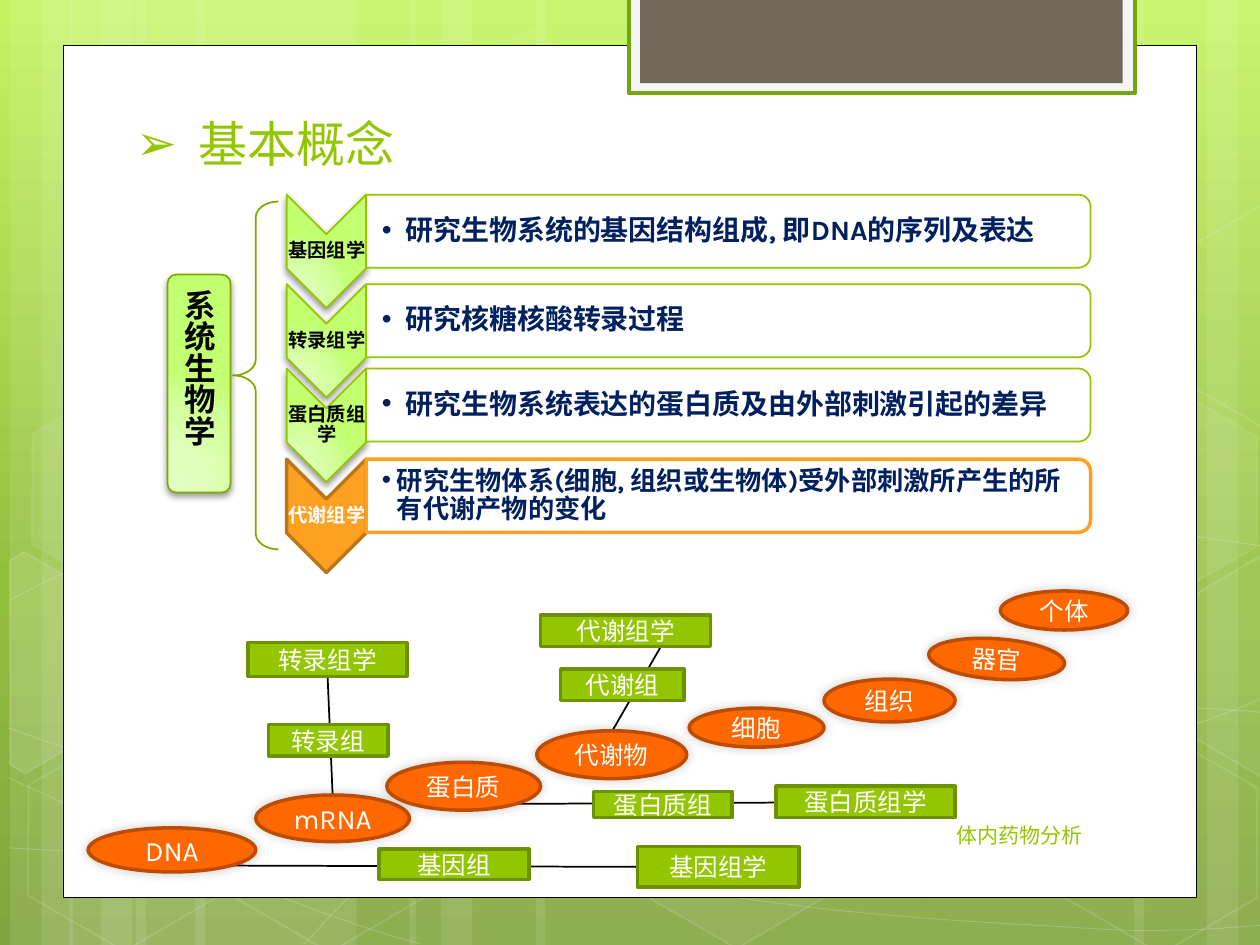
from lxml import etree
from pptx import Presentation, util as u
from pptx.dml.color import RGBColor
from pptx.enum import shapes, text
from pptx.oxml import ns

KIND, ALIGN, MID = shapes.MSO_SHAPE, text.PP_ALIGN, text.MSO_ANCHOR.MIDDLE


class Theme:
    """Colours, type sizes and effects of the slide."""
    font = "Karla"
    white, black, navy = "FFFFFF", "000000", "002060"
    green, deep, mid = "94C600", "6D9200", "7FAA00"
    amber, rust, orange, brown = "FEA022", "BC7619", "FF6700", "BD4C00"
    paper, rim, slate = "F5F5F5", "74A510", "71685A"
    sky = [(0, "C3F35F"), (62, "93BF3F"), (100, "81A53E")]
    lime = [(0, "E2FFC2"), (30, "E0FFBC"), (75, "D0FF97"), (100, "C2FF71")]
    drop, glow = (40, 4, 2, 90), (20, 6, 0, 315)
    title, side, body, node, note, tag = 28, 18, 16, 14, 12, 11


BARS = [(1.08, 1.75), (0.08, 0.5), (0.33, 0.83), (1.55, 1.75), (0.55, 0.5), (0.8, 0.83),
        (7.33, 1.75), (9.58, 0.5), (9, 0.83), (4.25, 3.08), (3.25, 0.5), (3.5, 0.83)]
CURVES = [
    [(0.07, 6.73), (0.61, 6.76), (1.15, 6.79), (1.9, 6.78), (2.65, 6.77), (3.58, 6.75),
     (4.58, 6.65), (5.58, 6.55), (7, 6.36), (7.92, 6.17), (8.83, 5.98), (9.77, 5.68), (10.07, 5.51)],
    [(0.07, 4.77), (0.36, 4.61), (0.65, 4.46), (1.21, 4.31), (1.78, 4.16), (2.59, 3.94),
     (3.47, 3.87), (4.36, 3.8), (5.44, 3.79), (6.54, 3.87), (7.64, 3.95), (9.47, 4.26), (10.07, 4.34)],
    [(0.06, 6.17), (1.27, 6.72), (2.47, 7.27), (3.34, 7.49)],
    [(0.07, 5.78), (0.38, 5.89), (0.7, 6), (1.28, 6.16), (1.86, 6.31), (2.73, 6.56),
     (3.57, 6.73), (4.4, 6.9), (5.45, 7.08), (6.28, 7.18), (7.11, 7.29), (8, 7.33),
     (8.53, 7.36), (9.05, 7.4), (9.19, 7.38), (9.45, 7.38), (9.71, 7.37), (9.89, 7.35), (10.07, 7.34)],
    [(2.42, 7.49), (2.6, 7.29), (2.78, 7.09), (3.02, 6.91), (3.26, 6.73), (3.6, 6.53),
     (3.88, 6.39), (4.16, 6.25), (4.33, 6.19), (4.7, 6.09), (5.06, 5.99), (5.73, 5.85),
     (6.08, 5.78), (6.44, 5.71), (6.49, 5.71), (6.8, 5.69), (7.11, 5.66), (7.6, 5.63),
     (7.94, 5.62), (8.29, 5.61), (8.86, 5.62), (8.86, 5.62), (9.08, 5.62), (9.3, 5.62),
     (9.53, 5.62), (9.71, 5.63), (9.88, 5.64), (9.97, 5.65), (10.06, 5.66), (10.03, 5.65),
     (10.06, 5.66)]]
HEXES = [(3.34, 0.36, 4, 8), (4.97, 5.89, 6, 12), (0.11, 5.91, 0, 12), (0.14, 3.12, 7, 8),
         (1.74, 5.92, 0, 12), (7.53, 4.53, 10, 12), (8.34, 5.93, 0, 12), (8.34, 3.14, 7, 8)]
CUTS = [
    (10, [(0.08, 4.45), (0.19, 4.38), (0.96, 4.82), (0.95, 5.7), (0.2, 6.14), (0.08, 6.07)]),
    (4, [(9.26, 4.85), (10.01, 4.41), (10.09, 4.46), (10.09, 6.13), (10.02, 6.17), (9.26, 5.73)]),
    (0, [(9.26, 2.07), (10.01, 1.63), (10.1, 1.68), (10.09, 3.35), (10.02, 3.39), (9.26, 2.95)])]
ROWS = [(2.12, "基因组学", "研究生物系统的基因结构组成, 即DNA的序列及表达"),
        (2.83, "转录组学", "研究核糖核酸转录过程"),
        (3.5, "蛋白质组学", "研究生物系统表达的蛋白质及由外部刺激引起的差异"),
        (4.22, "代谢组学", "研究生物体系(细胞, 组织或生物体)受外部刺激所产生的所有代谢产物的变化")]
LINKS = [(2.6, 5.37, 2.64, 6.31), (5.39, 4.88, 4.86, 5.8),
         (1.84, 6.87, 5.06, 6.88), (4.11, 6.38, 6.16, 6.37)]
OVALS = [("DNA", 0.7, 6.57, 1.33, 0.35), ("mRNA", 2.03, 6.31, 1.22, 0.37),
         ("细胞", 5.47, 5.62, 1.07, 0.31), ("蛋白质", 3.07, 6.05, 1.22, 0.38),
         ("代谢物", 4.26, 5.8, 1.19, 0.38), ("组织", 6.54, 5.39, 1.04, 0.34),
         ("个体", 7.94, 4.69, 1.01, 0.31), ("器官", 7.37, 5.07, 1.08, 0.32)]
BOXES = [("基因组学", 5.06, 6.72, 1.28, 0.32), ("转录组学", 1.97, 5.1, 1.26, 0.27),
         ("蛋白质组学", 6.16, 6.24, 1.42, 0.25), ("代谢组学", 4.29, 4.88, 1.35, 0.25),
         ("转录组", 2.13, 5.75, 0.95, 0.25), ("基因组", 3.01, 6.74, 1.19, 0.24),
         ("蛋白质组", 4.71, 6.28, 1.1, 0.21), ("代谢组", 4.45, 5.31, 0.98, 0.25)]

deck = Presentation()
deck.slide_width, deck.slide_height = u.Inches(10), u.Inches(7.5)
slide = deck.slides.add_slide(deck.slide_layouts[6])
tree = slide.shapes


def sub(node, tag, **attrs):
    return etree.SubElement(node, ns.qn("a:" + tag), {k: str(v) for k, v in attrs.items()})


def tint(fill, root, color, alpha=100):
    fill.solid()
    fill.fore_color.rgb = RGBColor.from_string(color)
    if alpha < 100:
        sub(root.find(".//" + ns.qn("a:srgbClr")), "alpha", val=alpha * 1000)


def blend(fill, root, stops, radial=False):
    fill.gradient()
    grad = root.find(".//" + ns.qn("a:gradFill"))
    for kid in list(grad):
        grad.remove(kid)
    items = sub(grad, "gsLst")
    for pos, color in stops:
        sub(sub(items, "gs", pos=pos * 1000), "srgbClr", val=color)
    if radial:
        sub(sub(grad, "path", path="circle"), "fillToRect", l=5000, t=100000, r=120000, b=10000)
    else:
        sub(grad, "lin", ang=5400000, scaled=0)


def paint(item, fill=None, line=None, width=1, clear=100, faint=100, shade=None):
    item.shadow.inherit = False
    props = item.element.spPr
    if isinstance(fill, list):
        blend(item.fill, props, fill, True)
    elif fill and clear:
        tint(item.fill, props, fill, clear)
    else:
        item.fill.background()
    if line:
        item.line.width = u.Pt(width)
        tint(item.line.fill, props.find(ns.qn("a:ln")), line, faint)
    else:
        item.line.fill.background()
    if shade:
        alpha, blur, dist, turn = shade
        cast = sub(props.find(ns.qn("a:effectLst")), "outerShdw", blurRad=u.Pt(blur),
                   dist=u.Pt(dist), dir=turn * 60000, algn="ctr", rotWithShape=0)
        sub(sub(cast, "srgbClr", val=Theme.black), "alpha", val=alpha * 1000)
    return item


def form(kind, x, y, w, h, turn=0, **look):
    item = tree.add_shape(kind, *map(u.Inches, (x, y, w, h)))
    item.rotation = turn
    return paint(item, **look)


def trace(dots, close, **look):
    dots = [(u.Inches(x), u.Inches(y)) for x, y in dots]
    pen = tree.build_freeform(*dots[0], scale=1.0)
    pen.add_line_segments(dots[1:], close=close)
    return paint(pen.convert_to_shape(), **look)


def bend(item):
    route = item.element.spPr.find(".//" + ns.qn("a:path"))
    legs = route.findall(ns.qn("a:lnTo"))
    for i in range(0, len(legs), 3):
        arc = sub(route, "cubicBezTo")
        for leg in legs[i:i + 3]:
            arc.append(leg[0])
            route.remove(leg)


def write(item, words, size, color, bold=False, align=ALIGN.CENTER, anchor=MID,
          inset=None, space=None, mark=None, hang=0):
    frame = item.text_frame
    frame.text, frame.word_wrap, frame.vertical_anchor = words, True, anchor
    if inset:
        frame.margin_left = u.Inches(inset)
        frame.margin_right = frame.margin_top = frame.margin_bottom = u.Inches(0.01)
    para = frame.paragraphs[0]
    para.alignment, para.line_spacing = align, space
    if mark:
        props = para._p.get_or_add_pPr()
        props.set("marL", str(u.Inches(hang)))
        props.set("indent", str(-u.Inches(hang)))
        sub(props, "buFont", typeface="Arial")
        sub(props, "buChar", char=mark)
    font = para.runs[0].font
    font.name, font.size, font.bold = Theme.font, u.Pt(size), bold
    font.color.rgb = RGBColor.from_string(color)


def label(x, y, w, h, *args, **opts):
    write(tree.add_textbox(*map(u.Inches, (x, y, w, h))), *args, **opts)


def scene():
    blend(slide.background.fill, slide.element, Theme.sky)
    for x, w in BARS:
        form(KIND.RECTANGLE, x, 0, w, 7.5, fill=Theme.white, clear=10)
    for dots in CURVES:
        bend(trace(dots, False, line=Theme.white, width=0.5, faint=20))
    for x, y, clear, faint in HEXES:
        cell = form(KIND.HEXAGON, x, y, 1.75, 1.52, 30, fill=Theme.white, clear=clear,
                    line=Theme.white, faint=faint)
        cell.adjustments[0] = 0.285
    for clear, dots in CUTS:
        trace(dots, True, fill=Theme.white, clear=clear, line=Theme.white, faint=12)
    form(KIND.RECTANGLE, 0.5, 0.36, 9, 6.76, fill=Theme.white, line=Theme.black, width=0.5)
    form(KIND.RECTANGLE, 4.99, -0.02, 4.02, 0.76, fill=Theme.paper, line=Theme.rim, width=2)
    form(KIND.RECTANGLE, 5.08, -0.02, 3.83, 0.68, fill=Theme.slate)
    label(0.98, 1.07, 3.26, 0.35, "基本概念", Theme.title, Theme.green, align=ALIGN.LEFT,
          anchor=text.MSO_ANCHOR.BOTTOM, mark="➢", hang=0.5)
    label(4.86, 6.43, 3.83, 0.4, "体内药物分析", Theme.note, Theme.green, align=ALIGN.RIGHT)


def rows():
    for mid, name, words in ROWS:
        last = mid == ROWS[-1][0]
        arrow = (dict(fill=Theme.amber, line=Theme.rust, width=2) if last else
                 dict(fill=Theme.lime, line=Theme.green, shade=Theme.drop))
        panel = (dict(line=Theme.amber, width=2) if last else
                 dict(line=Theme.green, clear=90))
        form(KIND.CHEVRON, 2.14, mid - 0.44, 0.9, 0.63, 90, **arrow)
        label(2.27, mid - 0.26, 0.65, 0.27, name, Theme.tag, Theme.white if last else Theme.black,
              True, inset=0.01, space=0.9)
        form(KIND.ROUND_2_SAME_RECTANGLE, 5.49, mid - 3.16, 0.58, 5.75, 90, fill=Theme.white, **panel)
        label(2.91, mid - 0.55, 5.72, 0.53, words, Theme.body - last, Theme.navy, True,
              align=ALIGN.LEFT, inset=0.12, space=0.9, mark="•", hang=0.12 if last else 0.19)
    brace = form(KIND.LEFT_BRACE, 1.85, 1.6, 0.36, 2.76, line=Theme.mid)
    brace.adjustments[0] = 0.346
    side = form(KIND.ROUNDED_RECTANGLE, 1.33, 2.18, 0.5, 1.73, fill=Theme.lime,
                line=Theme.mid, shade=Theme.drop)
    side.adjustments[0] = 0.14
    write(side, "系统生物学", Theme.side, Theme.black, True)
    side.text_frame._txBody.bodyPr.set("vert", "eaVert")


def chain():
    for ends in LINKS:
        link = tree.add_connector(shapes.MSO_CONNECTOR.STRAIGHT, *map(u.Inches, ends))
        link.line.width = u.Pt(1)
        link.line.color.rgb = RGBColor.from_string(Theme.black)
        sub(link.element.spPr, "effectLst")
    for name, *area in OVALS:
        node = form(KIND.OVAL, *area, 4.1 if name == "器官" else 0, fill=Theme.orange,
                    line=Theme.brown, width=2, shade=Theme.glow)
        write(node, name, Theme.body if name.isascii() else Theme.node, Theme.white)
    for name, *area in BOXES:
        node = form(KIND.RECTANGLE, *area, fill=Theme.green, line=Theme.deep, width=2)
        write(node, name, Theme.node, Theme.white)


scene()
rows()
chain()
deck.save("out.pptx")
